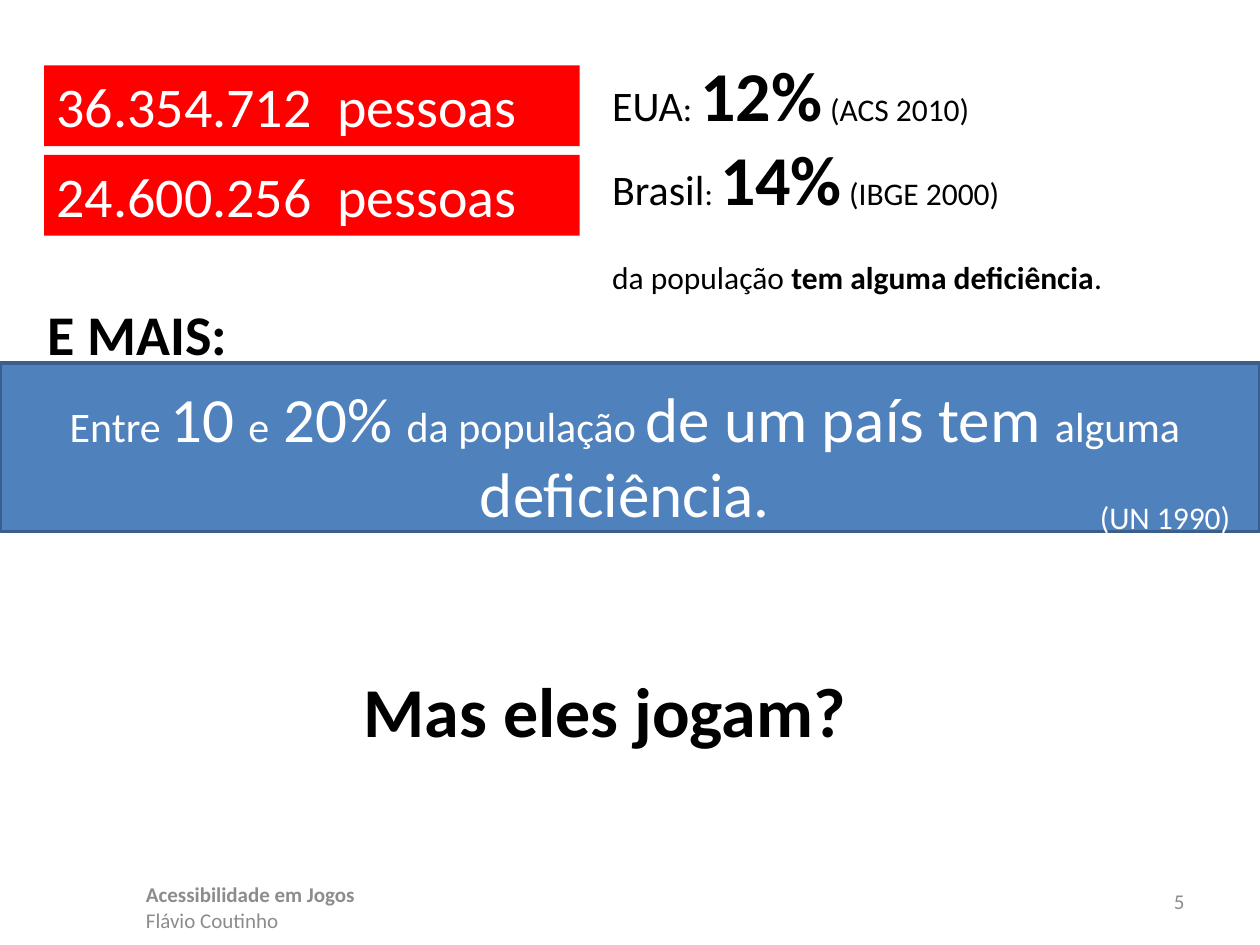
from lxml.etree import SubElement
from pptx import Presentation
from pptx.dml.color import RGBColor
from pptx.enum.shapes import MSO_SHAPE
from pptx.enum.text import MSO_ANCHOR, PP_ALIGN
from pptx.util import Inches, Pt

THEME = {
    "font": "Calibri",
    "black": "000000", "white": "FFFFFF", "gray": "8C8C8C",
    "red": "FF0000", "blue": "4F81BD", "blue_edge": "3A5F8C",
    "footer": 12, "small": 18, "colon": 20, "body": 24,
    "heading": 32, "accent": 36, "huge": 40,
}

# A paragraph is a list of runs: (text, size name, bold).
COUNTS = ["36.354.712  pessoas", "24.600.256  pessoas"]
RATES = [
    [("EUA", "body", False), (": ", "colon", False), ("12%", "huge", True),
     (" ", "colon", False), ("(ACS 2010)", "small", False)],
    [("Brasil", "body", False), (": ", "small", False), ("14%", "huge", True),
     (" (IBGE 2000)", "small", False)],
    [("da população ", "small", False), ("tem alguma deficiência", "small", True),
     (".", "small", False)],
]
ESTIMATE = [[
    ("Entre ", "body", False), ("10 ", "accent", False), ("e", "body", False),
    (" 20% ", "accent", False), ("da população ", "body", False),
    ("de um país tem ", "accent", False), ("alguma ", "body", False),
    ("deficiência.", "accent", False),
]]
MORE = [[("E MAIS:", "heading", True)]]
ESTIMATE_SOURCE = [[("(UN 1990)", "small", False)]]
QUESTION = [[("Mas eles jogam?", "huge", True)]]
FOOTER = [[("Acessibilidade em Jogos", "footer", True)],
          [("Flávio Coutinho", "footer", False)]]
PAGE_NUMBER = [[("5", "footer", False)]]

COUNT_LEFT, COUNT_TOP, COUNT_WIDTH, COUNT_HEIGHT, COUNT_STEP = 0.35, 0.52, 4.25, 0.64, 0.71


def color(name):
    return RGBColor.from_string(THEME[name])


def write(frame, paragraphs, color_name, align=PP_ALIGN.LEFT,
          anchor=MSO_ANCHOR.TOP, wrap=True):
    frame.word_wrap = wrap
    frame.vertical_anchor = anchor
    for index, runs in enumerate(paragraphs):
        paragraph = frame.add_paragraph() if index else frame.paragraphs[0]
        paragraph.alignment = align
        for text, size, bold in runs:
            run = paragraph.add_run()
            run.text = text
            run.font.name = THEME["font"]
            run.font.size = Pt(THEME[size])
            run.font.bold = bold
            run.font.color.rgb = color(color_name)


def add_text(slide, box, paragraphs, color_name="black", **layout):
    frame = slide.shapes.add_textbox(*map(Inches, box)).text_frame
    write(frame, paragraphs, color_name, **layout)
    return frame


def add_band(slide, box, fill, edge=None):
    band = slide.shapes.add_shape(MSO_SHAPE.RECTANGLE, *map(Inches, box))
    band.shadow.inherit = False
    band.fill.solid()
    band.fill.fore_color.rgb = color(fill)
    if edge:
        band.line.color.rgb = color(edge)
        band.line.width = Pt(2)
    else:
        band.line.fill.background()
    return band


def main():
    deck = Presentation()
    deck.slide_width, deck.slide_height = Inches(10), Inches(7.5)
    slide = deck.slides.add_slide(deck.slide_layouts[6])

    add_text(slide, (1.06, 6.95, 5.83, 0.55), FOOTER, "gray")
    add_text(slide, (7.17, 6.95, 2.33, 0.4), PAGE_NUMBER, "gray",
             align=PP_ALIGN.RIGHT, anchor=MSO_ANCHOR.MIDDLE)

    add_band(slide, (0, 2.88, 10, 1.34), "blue", "blue_edge")
    rates = add_text(slide, (4.76, 0.36, 4.96, 2.05), RATES)
    rates.paragraphs[-1].space_before = Pt(22)
    add_text(slide, (2.72, 5.25, 4.09, 0.77), QUESTION, align=PP_ALIGN.RIGHT)

    for row, count in enumerate(COUNTS):
        box = (COUNT_LEFT, COUNT_TOP + row * COUNT_STEP, COUNT_WIDTH, COUNT_HEIGHT)
        write(add_band(slide, box, "red").text_frame,
              [[(count, "heading", False)]], "white")

    add_text(slide, (0.43, 2.96, 9.06, 1.31), ESTIMATE, "white", align=PP_ALIGN.CENTER)
    add_text(slide, (0.28, 2.33, 1.64, 0.64), MORE, wrap=False)
    add_text(slide, (8.63, 3.9, 1.25, 0.4), ESTIMATE_SOURCE, "white", wrap=False)

    deck.save("out.pptx")


if __name__ == "__main__":
    main()
